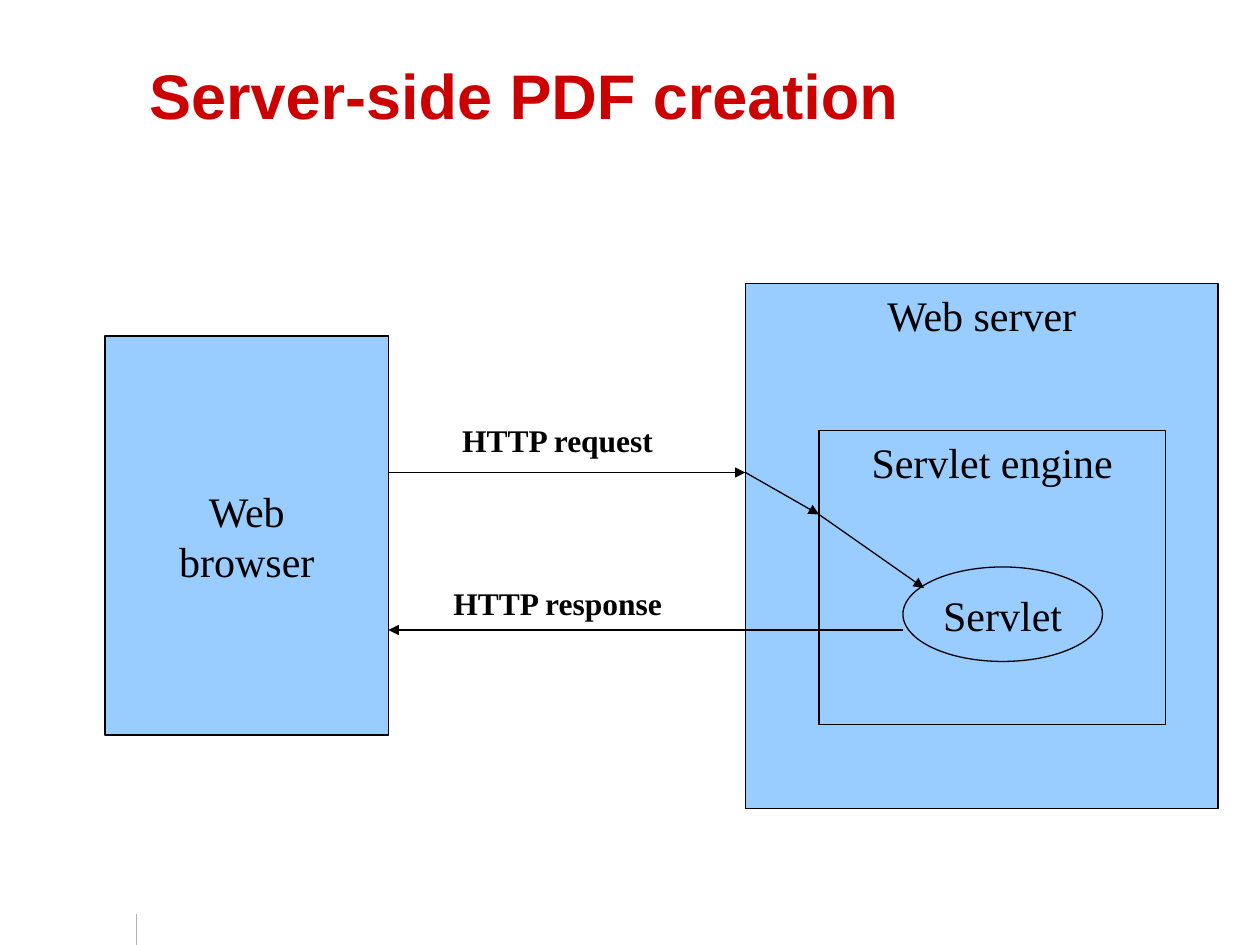
import pptx
import pptx.util
import pptx.dml.color
import pptx.enum.shapes
import pptx.enum.text
import pptx.oxml.ns
import lxml.etree

Pt = pptx.util.Pt
RGB = pptx.dml.color.RGBColor
SHAPE = pptx.enum.shapes.MSO_SHAPE
ANCHOR = pptx.enum.text.MSO_ANCHOR
ALIGN = pptx.enum.text.PP_ALIGN

RED = RGB(0xCC, 0x00, 0x00)
BLUE = RGB(0x99, 0xCC, 0xFF)
BLACK = RGB(0x00, 0x00, 0x00)
GREY = RGB(0xB2, 0xB2, 0xB2)
SERIF = "Times New Roman"


def add_run(p, text, size, name, color, bold=False):
    r = p.add_run()
    r.text = text
    r.font.size = Pt(size)
    r.font.name = name
    r.font.bold = bold
    r.font.color.rgb = color


def add_line(s, x1, y1, x2, y2, color, arrow=True):
    line = s.shapes.add_connector(pptx.enum.shapes.MSO_CONNECTOR.STRAIGHT,
                                  Pt(x1), Pt(y1), Pt(x2), Pt(y2))
    line.line.color.rgb = color
    line.line.width = Pt(0.75)
    qn = pptx.oxml.ns.qn
    if arrow:
        lxml.etree.SubElement(line.line._get_or_add_ln(), qn("a:tailEnd"), type="triangle")
    lxml.etree.SubElement(line._element.spPr, qn("a:effectLst"))


prs = pptx.Presentation()
prs.slide_width, prs.slide_height = Pt(720), Pt(540)
s = prs.slides.add_slide(prs.slide_layouts[5])

# Footer rule
add_line(s, 78, 522, 78, 540, GREY, arrow=False)

# Title
title = s.shapes.title
title.left, title.top, title.width, title.height = Pt(78), Pt(12), Pt(612), Pt(90)
tf = title.text_frame
tf.word_wrap = True
tf.auto_size = pptx.enum.text.MSO_AUTO_SIZE.NONE
tf.vertical_anchor = ANCHOR.MIDDLE
p = tf.paragraphs[0]
p.alignment = ALIGN.LEFT
p.line_spacing = 0.85
add_run(p, "Server-side PDF creation", 36, "Arial", RED, bold=True)

# Browser, and the server with its nested parts
boxes = [
    (SHAPE.RECTANGLE, 60, 192, 162, 228, ANCHOR.MIDDLE, ["Web", "browser"]),
    (SHAPE.RECTANGLE, 426, 162, 270, 300, ANCHOR.TOP, ["Web server"]),
    (SHAPE.RECTANGLE, 468, 246, 198, 168, ANCHOR.TOP, ["Servlet engine"]),
    (SHAPE.OVAL, 516, 324, 114, 54, ANCHOR.MIDDLE, ["Servlet"]),
]
for kind, x, y, w, h, anchor, lines in boxes:
    sp = s.shapes.add_shape(kind, Pt(x), Pt(y), Pt(w), Pt(h))
    sp.shadow.inherit = False
    sp.fill.solid()
    sp.fill.fore_color.rgb = BLUE
    sp.line.color.rgb = BLACK
    sp.line.width = Pt(0.75)
    tf = sp.text_frame
    tf.word_wrap = False
    tf.vertical_anchor = anchor
    for i, text in enumerate(lines):
        p = tf.add_paragraph() if i else tf.paragraphs[0]
        p.alignment = ALIGN.CENTER
        add_run(p, text, 24, SERIF, BLACK)

# Request path to the servlet, then the response back to the browser
for x1, y1, x2, y2 in [(222, 270, 426, 270), (426, 270, 468, 294),
                       (468, 294, 528, 336), (516, 360, 222, 360)]:
    add_line(s, x1, y1, x2, y2, BLACK)

# Arrow labels
for x, y, w, text in [(257, 237, 124.5, "HTTP request"),
                      (252, 330, 134.5, "HTTP response")]:
    sp = s.shapes.add_textbox(Pt(x), Pt(y), Pt(w), Pt(29))
    tf = sp.text_frame
    tf.word_wrap = False
    tf.auto_size = pptx.enum.text.MSO_AUTO_SIZE.SHAPE_TO_FIT_TEXT
    add_run(tf.paragraphs[0], text, 18, SERIF, BLACK, bold=True)

prs.save("out.pptx")
